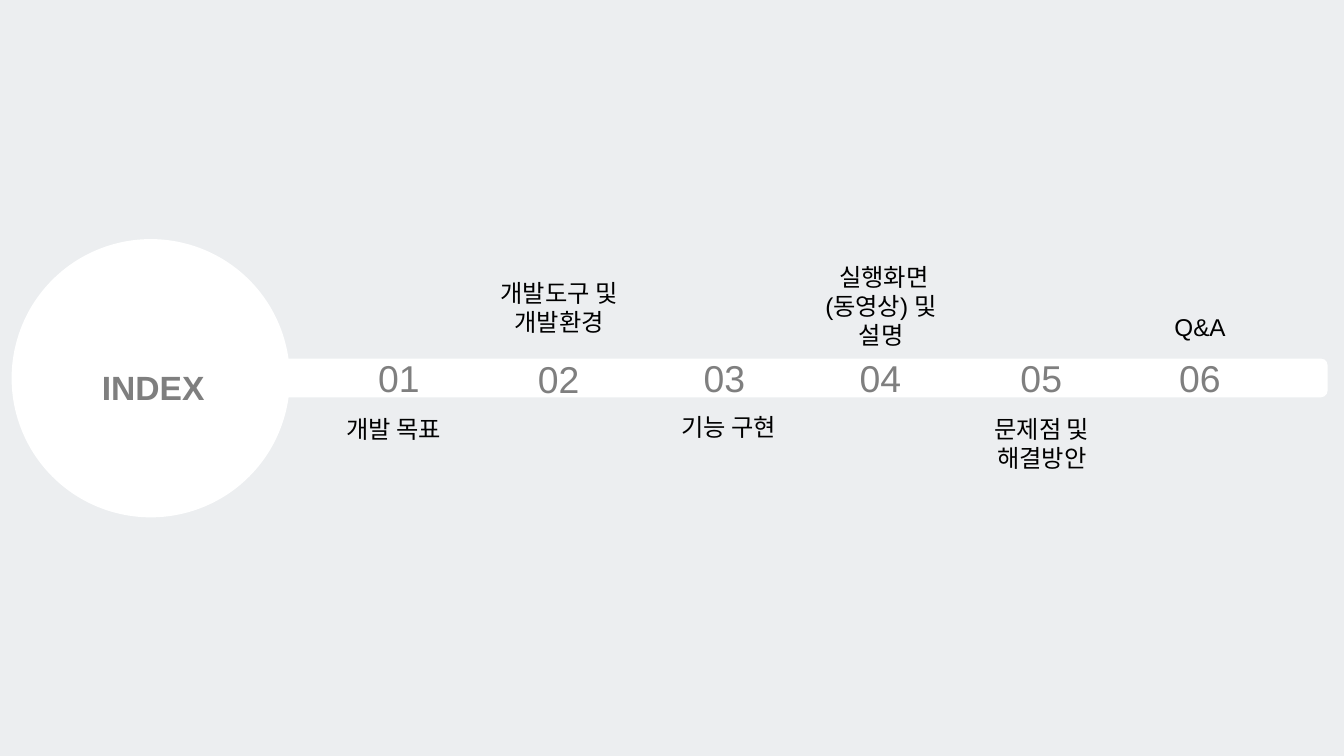
from pptx import Presentation
from pptx.dml.color import RGBColor
from pptx.enum.shapes import MSO_SHAPE
from pptx.enum.text import MSO_ANCHOR, MSO_AUTO_SIZE, PP_ALIGN
from pptx.util import Cm, Pt

BACKGROUND = RGBColor(0xEC, 0xEE, 0xF0)
WHITE = RGBColor(0xFF, 0xFF, 0xFF)
GRAY = RGBColor(0x7F, 0x7F, 0x7F)
BLACK = RGBColor(0x00, 0x00, 0x00)


def write_text(shape, lines, size, color, bold=False, line_spacing=None):
    frame = shape.text_frame
    frame.word_wrap = True
    frame.auto_size = MSO_AUTO_SIZE.NONE
    frame.vertical_anchor = MSO_ANCHOR.TOP
    frame.text = lines
    for paragraph in frame.paragraphs:
        paragraph.alignment = PP_ALIGN.CENTER
        paragraph.line_spacing = line_spacing
        font = paragraph.runs[0].font
        font.name = "Arial"
        font.size = Pt(size)
        font.bold = bold
        font.color.rgb = color


presentation = Presentation()
presentation.slide_width = Cm(25.4)
presentation.slide_height = Cm(14.29)
slide = presentation.slides.add_slide(presentation.slide_layouts[5])
slide.background.fill.solid()
slide.background.fill.fore_color.rgb = BACKGROUND

# Timeline bar and the circle at its start
bar = slide.shapes.add_shape(MSO_SHAPE.ROUNDED_RECTANGLE, Cm(0.48), Cm(6.78), Cm(24.61), Cm(0.73))
circle = slide.shapes.add_shape(MSO_SHAPE.OVAL, Cm(0.22), Cm(4.52), Cm(5.26), Cm(5.26))
for shape in (bar, circle):
    shape.fill.solid()
    shape.fill.fore_color.rgb = WHITE
    shape.line.fill.background()
    shape.shadow.inherit = False

# Title, brought in front of the circle
title = slide.shapes.title
title.left, title.top, title.width, title.height = Cm(0.48), Cm(6.43), Cm(4.83), Cm(1.42)
write_text(title, "INDEX", size=18, color=GRAY, bold=True, line_spacing=1.5)
circle.element.addnext(title.element)

# Steps: number left and top, label text, label left, top, width, height (cm)
steps = [
    (6.78, 6.58, "개발 목표", (5.26, 7.7, 4.37, 1.7)),
    (9.8, 6.6, "개발도구 및\n개발환경", (8.48, 5.13, 4.17, 2.26)),
    (12.93, 6.58, "기능 구현", (11.46, 7.67, 4.62, 1.37)),
    (15.88, 6.58, " 실행화면 (동영상) 및 설명", (15.27, 4.83, 2.77, 1.37)),
    (18.92, 6.58, "문제점 및 해결방안", (17.81, 7.7, 3.76, 0.81)),
    (21.92, 6.58, "Q&A", (20.8, 5.77, 3.76, 0.81)),
]
for index, (left, top, label, label_box) in enumerate(steps, start=1):
    number = slide.shapes.add_textbox(Cm(left), Cm(top), Cm(1.52), Cm(1.12))
    write_text(number, f"{index:02d}", size=20, color=GRAY)
    caption = slide.shapes.add_textbox(*(Cm(length) for length in label_box))
    write_text(caption, label, size=13, color=BLACK)

presentation.save("out.pptx")
